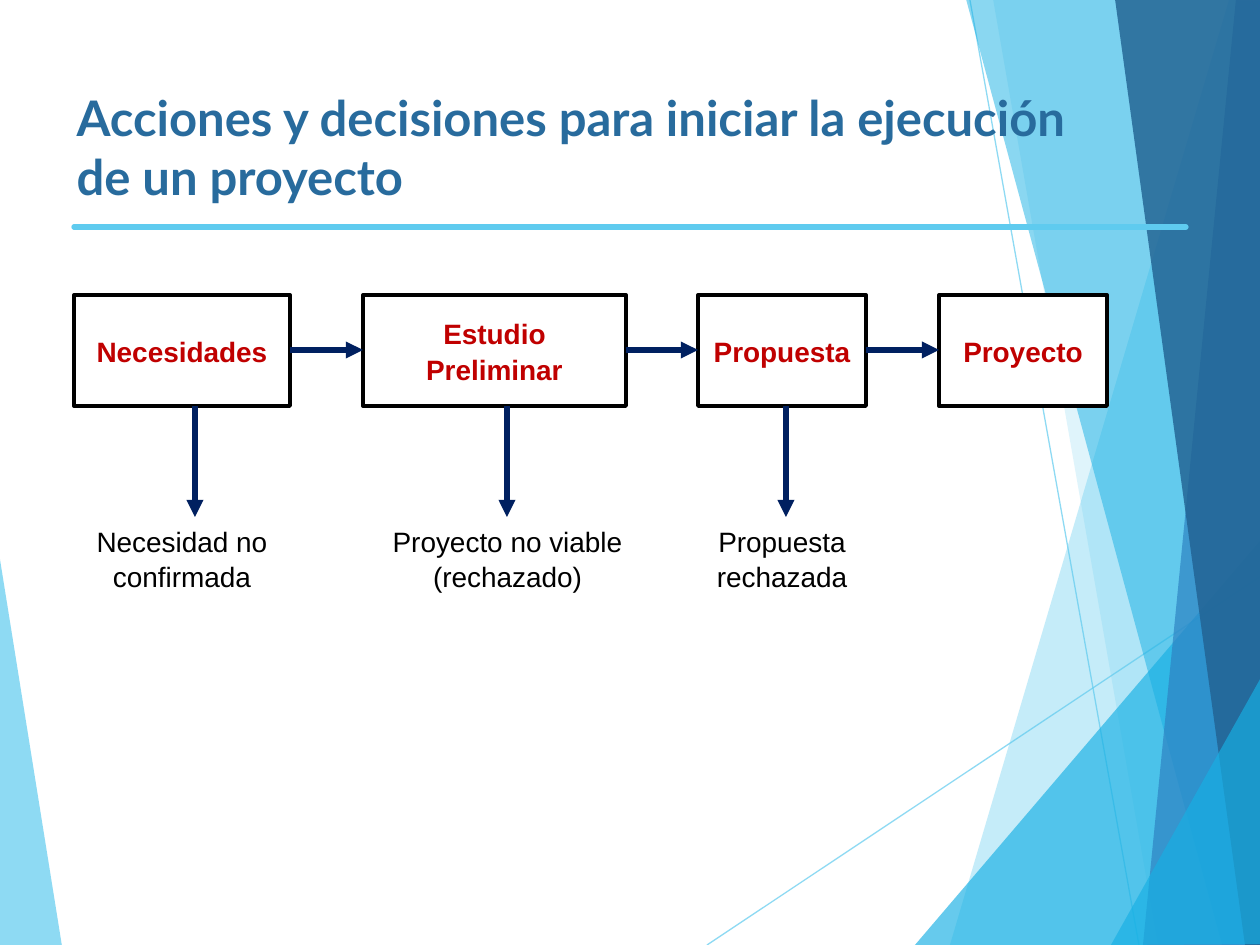
from itertools import pairwise

from lxml.etree import SubElement
from pptx import Presentation
from pptx.dml.color import RGBColor
from pptx.enum.shapes import MSO_CONNECTOR, MSO_SHAPE
from pptx.enum.text import MSO_ANCHOR, MSO_AUTO_SIZE, PP_ALIGN
from pptx.oxml.ns import qn
from pptx.util import Emu, Pt

SCALE = 914400 / 126
WHITE = RGBColor(0xFF, 0xFF, 0xFF)
BLACK = RGBColor(0x00, 0x00, 0x00)
RED = RGBColor(0xC0, 0x00, 0x00)
NAVY = RGBColor(0x00, 0x20, 0x60)
SKY = RGBColor(0x5F, 0xCB, 0xEF)
CYAN = RGBColor(0x17, 0xB0, 0xE4)
BLUE = RGBColor(0x2E, 0x83, 0xC3)
DEEP_BLUE = RGBColor(0x22, 0x62, 0x92)
TITLE_BLUE = RGBColor(0x28, 0x6B, 0x9D)

RAYS = [((707, 945), (1261, 576)), ((970, 0), (1139, 945))]
FACETS = [
    (SKY, 36, [(1229, 0), (950, 945), (1263, 946), (1261, 1)]),
    (SKY, 20, [(993, -1), (1158, 945), (1261, 945), (1261, -1)]),
    (CYAN, 66, [(915, 945), (1260, 541), (1261, 945)]),
    (CYAN, 50, [(966, -1), (1222, 945), (1261, 944), (1261, -1)]),
    (BLUE, 70, [(1236, -1), (1143, 945), (1261, 945), (1260, -1)]),
    (DEEP_BLUE, 82, [(1115, -1), (1245, 945), (1263, 945), (1260, -1)]),
    (CYAN, 66, [(1111, 945), (1263, 674), (1263, 944)]),
]
LEFT_FACET = (SKY, 70, [(-1, 553), (62, 946), (-1, 945)])

STEPS = [
    ("Necesidades", 0, 216),
    ("Estudio Preliminar", 289, 263),
    ("Propuesta", 624, 168),
    ("Proyecto", 865, 168),
]
OUTCOMES = [
    ("Necesidad no confirmada", 0, 216, 121),
    ("Proyecto no viable (rechazado)", 293, 281, 433),
    ("Propuesta rechazada", 600, 216, 712),
]


def px(length):
    return Emu(round(length * SCALE))


def set_opacity(shape, percent):
    color = shape._element.spPr.find(".//" + qn("a:srgbClr"))
    SubElement(color, qn("a:alpha")).set("val", str(percent * 1000))


def add_line(slide, start, end, color, width):
    line = slide.shapes.add_connector(
        MSO_CONNECTOR.STRAIGHT, *(px(value) for value in (*start, *end))
    )
    line.line.color.rgb = color
    line.line.width = Pt(width)
    SubElement(line._element.spPr, qn("a:effectLst"))
    return line


def add_arrow(slide, start, end):
    arrow = add_line(slide, start, end, NAVY, 3.25)
    outline = arrow._element.spPr.find(qn("a:ln"))
    SubElement(outline, qn("a:tailEnd")).set("type", "triangle")


def write(frame, text, font_name, size, color, bold, align):
    frame.word_wrap = True
    frame.auto_size = MSO_AUTO_SIZE.NONE
    paragraph = frame.paragraphs[0]
    paragraph.alignment = align
    run = paragraph.add_run()
    run.text = text
    run.font.name = font_name
    run.font.size = Pt(size)
    run.font.bold = bold
    run.font.color.rgb = color
    return paragraph


def add_facet(slide, left, top, color, opacity, points):
    corners = [(left + x, top + y) for x, y in points]
    builder = slide.shapes.build_freeform(*corners[0], scale=SCALE)
    builder.add_line_segments(corners[1:], close=True)
    facet = builder.convert_to_shape()
    facet.shadow.inherit = False
    facet.fill.solid()
    facet.fill.fore_color.rgb = color
    set_opacity(facet, opacity)
    facet.line.fill.background()


def add_backdrop(slide, left, top):
    add_facet(slide, left, top, *LEFT_FACET)
    for (x1, y1), (x2, y2) in RAYS:
        ray = add_line(
            slide, (left + x1, top + y1), (left + x2, top + y2), SKY, 0.75
        )
        set_opacity(ray, 70)
    for facet in FACETS:
        add_facet(slide, left, top, *facet)


def add_step(slide, text, left, top, width, height):
    step = slide.shapes.add_shape(
        MSO_SHAPE.RECTANGLE, px(left), px(top), px(width), px(height)
    )
    step.shadow.inherit = False
    step.fill.solid()
    step.fill.fore_color.rgb = WHITE
    step.line.color.rgb = BLACK
    step.line.width = Pt(2.25)
    step.text_frame.vertical_anchor = MSO_ANCHOR.MIDDLE
    paragraph = write(
        step.text_frame, text, "Arial", 16, RED, True, PP_ALIGN.CENTER
    )
    paragraph.line_spacing = 1.05


def add_outcome(slide, text, left, top, width, height):
    outcome = slide.shapes.add_textbox(px(left), px(top), px(width), px(height))
    paragraph = write(
        outcome.text_frame, text, "Arial", 16, BLACK, False, PP_ALIGN.CENTER
    )
    paragraph.line_spacing = 1.05


def add_flow(slide, left, top, step_height, drop):
    bottom = top + step_height
    middle = top + step_height // 2
    for text, x, width in STEPS:
        add_step(slide, text, left + x, top, width, step_height)
    for text, x, width, arrow_x in OUTCOMES:
        add_outcome(slide, text, left + x, bottom + drop, width, 78)
        add_arrow(
            slide, (left + arrow_x, bottom), (left + arrow_x, bottom + drop)
        )
    for (_, x, width), (_, next_x, _) in pairwise(STEPS):
        add_arrow(slide, (left + x + width, middle), (left + next_x, middle))


def add_heading(slide, left, top, width, height):
    title = slide.shapes.title
    title.left, title.top = px(left), px(top)
    title.width, title.height = px(width), px(height)
    title.text_frame.vertical_anchor = MSO_ANCHOR.MIDDLE
    write(
        title.text_frame,
        "Acciones y decisiones para iniciar la ejecución de un proyecto",
        "Lato", 28, TITLE_BLUE, True, PP_ALIGN.LEFT,
    )
    slide.shapes._spTree.append(title._element)
    rule_y = top + 173
    rule = add_line(slide, (left + 10, rule_y), (left + 1122, rule_y), SKY, 3)
    rule._element.spPr.find(qn("a:ln")).set("cap", "rnd")


def main():
    presentation = Presentation()
    presentation.slide_width = px(1260)
    presentation.slide_height = px(945)
    slide = presentation.slides.add_slide(presentation.slide_layouts[5])
    add_backdrop(slide, 0, 0)
    add_flow(slide, 74, 295, 111, 111)
    add_heading(slide, 64, 54, 1040, 184)
    presentation.save("out.pptx")


if __name__ == "__main__":
    main()
